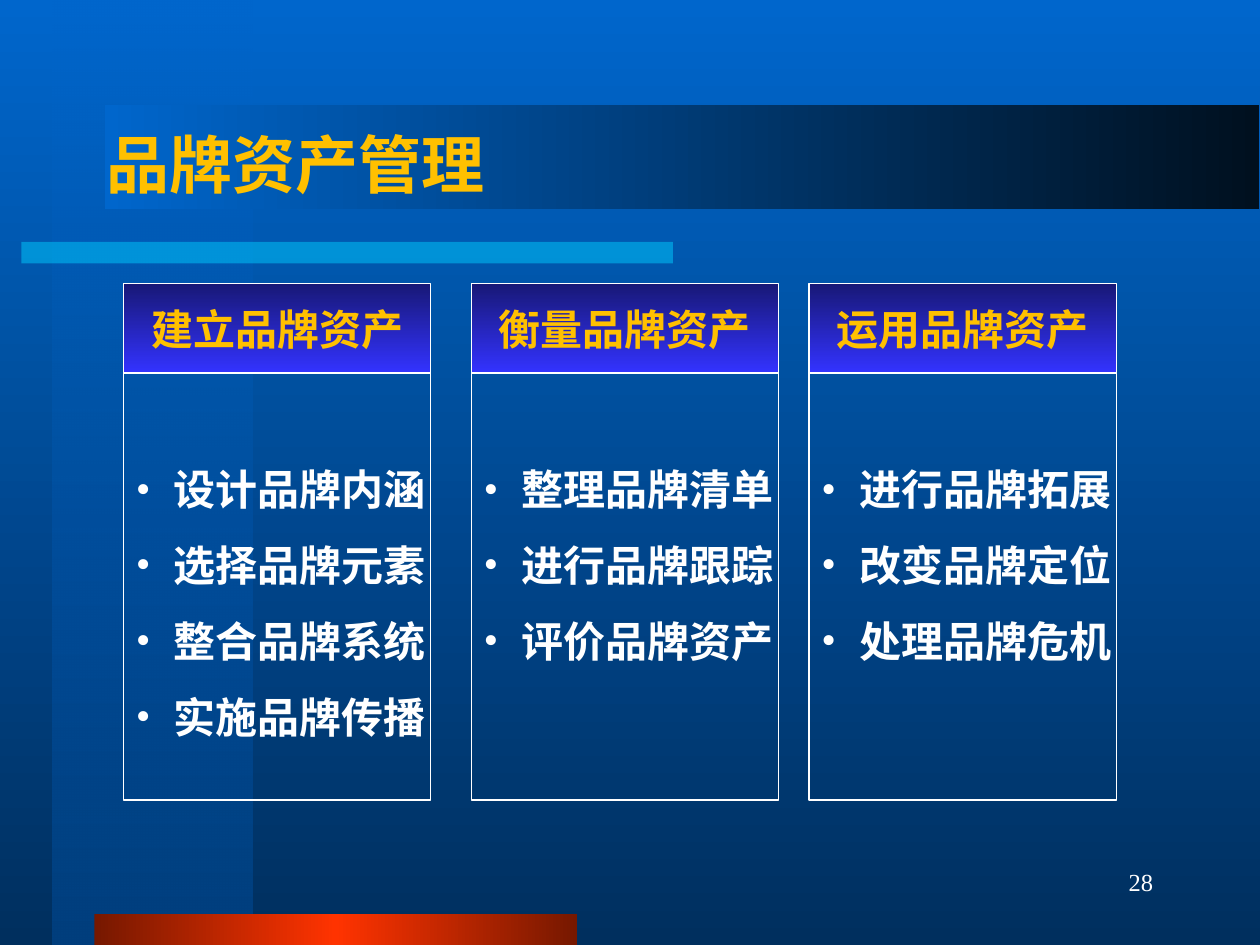
import pptx
import pptx.dml.color
import pptx.enum.shapes
import pptx.enum.text
import pptx.oxml
import pptx.oxml.ns
import pptx.util

Inches, Pt = pptx.util.Inches, pptx.util.Pt
RGB = pptx.dml.color.RGBColor
ALIGN = pptx.enum.text.PP_ALIGN
ANCHOR = pptx.enum.text.MSO_ANCHOR
qn = pptx.oxml.ns.qn

# Content
TITLE = "品牌资产管理"
PAGE_NUMBER = "28"
COLUMNS = [
    (0.98, "建立品牌资产", ["设计品牌内涵", "选择品牌元素", "整合品牌系统", "实施品牌传播"]),
    (3.74, "衡量品牌资产", ["整理品牌清单", "进行品牌跟踪", "评价品牌资产"]),
    (6.42, "运用品牌资产", ["进行品牌拓展", "改变品牌定位", "处理品牌危机"]),
]

# Look
CJK, LATIN = "Noto Sans CJK SC", "Times New Roman"
WHITE, GOLD = RGB(0xFF, 0xFF, 0xFF), RGB(0xFF, 0xC0, 0x00)
BLUE, NAVY = RGB(0x00, 0x66, 0xCC), RGB(0x00, 0x2F, 0x5E)
DEEP_BLUE, BLACK_BLUE = RGB(0x00, 0x3F, 0x7E), RGB(0x00, 0x10, 0x1F)
CYAN = RGB(0x00, 0xCC, 0xFF)
RED, DARK_RED = RGB(0xFF, 0x33, 0x00), RGB(0x76, 0x18, 0x00)
INDIGO, VIOLET = RGB(0x18, 0x18, 0x76), RGB(0x33, 0x33, 0xFF)
COLUMN_TOP, COLUMN_WIDTH = 2.25, 2.44
HEADER_HEIGHT, BODY_HEIGHT = 0.71, 3.39
BULLET_INDENT = 0.3


def add_xml(parent, tag, **attributes):
    child = pptx.oxml.parse_xml(f"<a:{tag} {pptx.oxml.ns.nsdecls('a')}/>")
    for name, value in attributes.items():
        child.set(name, str(value))
    parent.append(child)
    return child


def add_color(parent, color, opacity=100):
    node = add_xml(parent, "srgbClr", val=color)
    if opacity < 100:
        add_xml(node, "alpha", val=opacity * 1000)


def paint_gradient(fill, element, colors, angle, first_opacity=100):
    """Spread the colours evenly, with the angle counted clockwise."""
    fill.gradient()
    fill.gradient_angle = -angle % 360
    stops = next(element.iter(qn("a:gsLst")))
    for stop in list(stops):
        stops.remove(stop)
    for index, color in enumerate(colors):
        stop = add_xml(stops, "gs", pos=100000 * index // (len(colors) - 1))
        add_color(stop, color, 100 if index else first_opacity)


def add_rectangle(page, place, colors=(), angle=0, opacity=100, line=None):
    box = page.shapes.add_shape(
        pptx.enum.shapes.MSO_SHAPE.RECTANGLE, *map(Inches, place))
    box.shadow.inherit = False
    if len(colors) > 1:
        paint_gradient(box.fill, box._element, colors, angle, opacity)
    elif colors:
        box.fill.solid()
        box.fill.fore_color.rgb = colors[0]
        color = next(box._element.spPr.iter(qn("a:srgbClr")))
        add_xml(color, "alpha", val=opacity * 1000)
    else:
        box.fill.background()
    if line is None:
        box.line.fill.background()
    else:
        box.line.color.rgb = line
        box.line.width = Pt(0.75)
    return box


def write(box, lines, *, size, color, font=CJK, bold=False, align=ALIGN.LEFT,
          anchor=ANCHOR.MIDDLE, insets=(0.1, 0.05, 0.1, 0.05), spacing=None,
          bullet=None):
    frame = box.text_frame
    frame.word_wrap = True
    frame.vertical_anchor = anchor
    (frame.margin_left, frame.margin_top,
     frame.margin_right, frame.margin_bottom) = map(Inches, insets)
    for index, text in enumerate(lines):
        para = frame.add_paragraph() if index else frame.paragraphs[0]
        para.alignment = align
        if spacing:
            para.line_spacing = Pt(spacing)
        if bullet:
            properties = para._p.get_or_add_pPr()
            properties.set("marL", str(Inches(BULLET_INDENT)))
            properties.set("indent", str(-Inches(BULLET_INDENT)))
            add_color(add_xml(properties, "buClr"), color)
            add_xml(properties, "buFont", typeface=LATIN)
            add_xml(properties, "buChar", char=bullet)
        span = para.add_run()
        span.text = text
        span.font.size = Pt(size)
        span.font.bold = bold
        span.font.color.rgb = color
        span.font.name = font
        add_xml(span._r.get_or_add_rPr(), "ea", typeface=CJK)


def add_text(page, place, text, **style):
    write(page.shapes.add_textbox(*map(Inches, place)), [text], **style)


def main():
    deck = pptx.Presentation()
    deck.slide_width, deck.slide_height = Inches(10), Inches(7.5)
    page = deck.slides.add_slide(deck.slide_layouts[6])

    # Background and decorative bands
    paint_gradient(page.background.fill, page._element, [BLUE, NAVY], 90)
    add_rectangle(page, (0.42, 0, 1.58, 7.5), [BLUE, DEEP_BLUE], 90, opacity=50)
    add_rectangle(page, (0.17, 1.92, 5.17, 0.17), [CYAN], opacity=50)
    add_rectangle(page, (0.75, 7.25, 3.83, 0.25), [DARK_RED, RED, DARK_RED])
    add_rectangle(page, (0.83, 0.83, 9.16, 0.83), [BLUE, BLACK_BLUE])

    # Title and page number
    add_text(page, (0.75, 0.67, 8.5, 1.25), TITLE, size=36, color=GOLD, bold=True)
    add_text(page, (7.17, 6.75, 2.08, 0.5), PAGE_NUMBER, size=14, color=WHITE,
             font=LATIN, align=ALIGN.RIGHT)

    # Columns: a header above a bulleted body
    for left, heading, items in COLUMNS:
        header = add_rectangle(
            page, (left, COLUMN_TOP, COLUMN_WIDTH, HEADER_HEIGHT),
            [INDIGO, VIOLET], 90, line=WHITE)
        write(header, [heading], size=24, color=GOLD, bold=True, align=ALIGN.CENTER)
        body = add_rectangle(
            page, (left, COLUMN_TOP + HEADER_HEIGHT, COLUMN_WIDTH, BODY_HEIGHT),
            line=WHITE)
        write(body, items, size=24, color=WHITE, font=LATIN, bold=True,
              anchor=ANCHOR.TOP, insets=(0.1, 0.52, 0, 0.05), spacing=43.3,
              bullet="•")

    deck.save("out.pptx")


if __name__ == "__main__":
    main()
